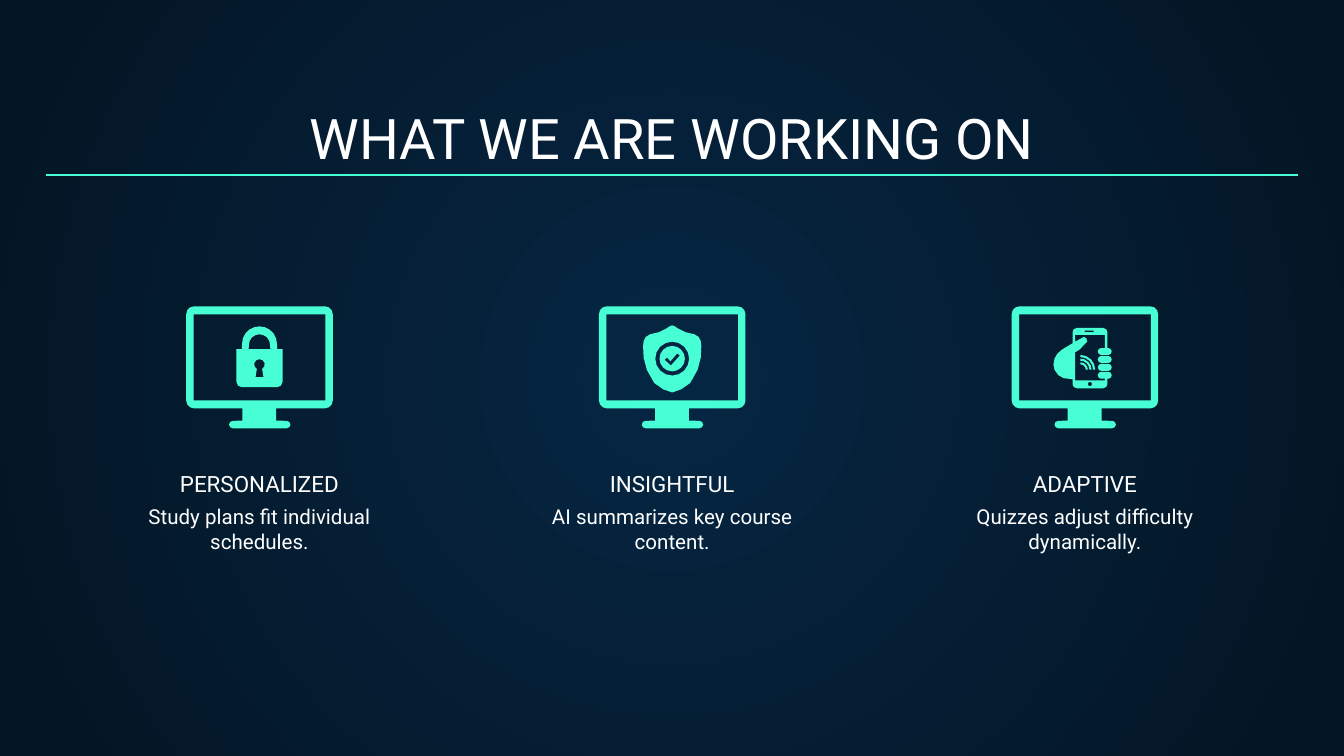
from math import cos, radians, sin

from lxml.etree import SubElement
from pptx import Presentation
from pptx.dml.color import RGBColor
from pptx.enum.shapes import MSO_CONNECTOR
from pptx.enum.text import MSO_ANCHOR, MSO_AUTO_SIZE, PP_ALIGN
from pptx.oxml.ns import qn
from pptx.util import Cm, Pt

COLORS = {"center": "052643", "edge": "041523", "accent": "48FFD5", "text": "FFFFFF"}
FONT = "Roboto"
SLIDE_WIDTH, SLIDE_HEIGHT = 25.4, 14.29
MARGIN = 0.86
ICON_WIDTH = 2.77
COLUMN_LEFT, COLUMN_TOP, COLUMN_WIDTH, COLUMN_STEP = 2.02, 5.79, 5.77, 7.8


def rgb(name):
    return RGBColor.from_string(COLORS[name])


def arc(cx, cy, radius, start, end, steps=2):
    """Points along an arc; angles in degrees, clockwise from the right."""
    angles = [radians(start + (end - start) * i / steps) for i in range(steps + 1)]
    return [(cx + radius * cos(a), cy + radius * sin(a)) for a in angles]


def circle(cx, cy, radius, steps=16):
    return arc(cx, cy, radius, 0, 360, steps)[:-1]


def rounded(left, top, right, bottom, r, steps=2):
    """Points around a rectangle with rounded corners."""
    return (arc(right - r, top + r, r, -90, 0, steps)
            + arc(right - r, bottom - r, r, 0, 90, steps)
            + arc(left + r, bottom - r, r, 90, 180, steps)
            + arc(left + r, top + r, r, 180, 270, steps))


def rectangle(left, top, right, bottom):
    return [(left, top), (right, top), (right, bottom), (left, bottom)]


def draw_outline(icon, left, top, contours):
    """Draw one filled shape; contours inside others become holes."""
    builder = None
    for contour in contours:
        start, *rest = [(Cm(x), Cm(y)) for x, y in contour]
        if builder is None:
            builder = icon.shapes.build_freeform(*start)
        else:
            builder.move_to(*start)
        builder.add_line_segments(rest, close=True)
    outline = builder.convert_to_shape(Cm(left), Cm(top))
    outline.shadow.inherit = False
    outline.fill.solid()
    outline.fill.fore_color.rgb = rgb("accent")
    outline.line.fill.background()


def draw_monitor(icon, left, top):
    frame = [*arc(2.62, 0.15, 0.15, -90, 0, 3), *arc(2.62, 1.78, 0.15, 0, 90, 3),
             (1.7, 1.93), (1.7, 2.16), *arc(1.9, 2.235, 0.07, -90, 90, 4),
             *arc(0.88, 2.235, 0.07, 90, 270, 4), (1.06, 2.16), (1.06, 1.93),
             *arc(0.15, 1.78, 0.15, 90, 180, 3), *arc(0.15, 0.15, 0.15, 180, 270, 3)]
    draw_outline(icon, left, top, [frame, rectangle(0.14, 0.15, 2.63, 1.78)])


def draw_lock(icon, left, top):
    middle = ICON_WIDTH / 2
    body = [(0.95, 0.81), (1.05, 0.81), *arc(middle, 0.71, 0.33, 180, 360, 10),
            (1.72, 0.81), (1.82, 0.81), *arc(1.72, 1.43, 0.1, 0, 90),
            *arc(1.05, 1.43, 0.1, 90, 180)]
    shackle_gap = [(1.18, 0.81), *arc(middle, 0.73, 0.2, 180, 360, 8), (1.59, 0.81)]
    keyhole = [*arc(middle, 1.1, 0.1, 120, 420, 8), (1.46, 1.34), (1.31, 1.34)]
    draw_outline(icon, left, top, [body, shackle_gap, keyhole])


def draw_shield(icon, left, top):
    middle = ICON_WIDTH / 2
    check = [(1.24, 1.01), (1.29, 0.97), (1.35, 1.04), (1.48, 0.89),
             (1.53, 0.93), (1.36, 1.12)]
    draw_outline(icon, left, top, [circle(middle, 0.99, 0.24), check])
    half = [(0, 0.36), (0.05, 0.38), (0.11, 0.42), (0.25, 0.49), (0.42, 0.53),
            (0.5, 0.58), (0.54, 0.66), (0.55, 0.75), (0.54, 0.97), (0.48, 1.2),
            (0.34, 1.45), (0.17, 1.57), (0, 1.63)]
    shield = ([(middle + x, y) for x, y in half]
              + [(middle - x, y) for x, y in half[-2:0:-1]])
    draw_outline(icon, left, top, [shield, circle(middle, 0.99, 0.32)])


def draw_phone(icon, left, top):
    phone_top = [*arc(1.25, 0.51, 0.08, 180, 270), *arc(1.75, 0.51, 0.08, 270, 360)]
    screen_top = [(1.83, 0.81), (1.78, 0.81), (1.78, 0.56), (1.22, 0.56), (1.22, 0.69)]
    thumb = [(1.33, 0.63), (1.38, 0.6), (1.43, 0.62), (1.45, 0.69), (1.4, 0.74),
             (1.3, 0.84), (1.22, 0.89)]
    screen_bottom = [(1.22, 1.42), (1.78, 1.42), (1.78, 1.39), (1.83, 1.39)]
    phone_bottom = [*arc(1.75, 1.49, 0.08, 0, 90), *arc(1.25, 1.49, 0.08, 90, 180)]
    palm = [(1.17, 1.4), (1, 1.38), (0.9, 1.32), (0.83, 1.22), (0.81, 1.12),
            (0.83, 1.01), (0.88, 0.92), (0.97, 0.84), (1.17, 0.72)]
    silhouette = phone_top + screen_top + thumb + screen_bottom + phone_bottom + palm
    signal = [arc(1.32, 1.22, r, 270, 360, 4) + arc(1.32, 1.22, r - 0.04, 360, 270, 4)
              for r in (0.14, 0.21, 0.28)]
    fingers = [rounded(1.65, y, 1.91, y + 0.13, 0.06) for y in (0.81, 0.96, 1.11, 1.26)]
    draw_outline(icon, left - 0.02, top - 0.02, [
        silhouette, rectangle(1.4, 0.48, 1.57, 0.51), circle(1.5, 1.49, 0.04, 8),
        *signal, *fingers,
    ])


def write_text(box, text, size, anchor):
    frame = box.text_frame
    frame.word_wrap = True
    frame.auto_size = MSO_AUTO_SIZE.NONE
    frame.vertical_anchor = anchor
    frame.margin_left = frame.margin_right = Cm(0.25)
    frame.margin_top = frame.margin_bottom = Cm(0.25)
    frame.text = text
    paragraph = frame.paragraphs[0]
    paragraph.alignment = PP_ALIGN.CENTER
    paragraph.line_spacing = 1.0
    paragraph.font.name = FONT
    paragraph.font.size = Pt(size)
    paragraph.font.color.rgb = rgb("text")


def paint_background(slide):
    fill = slide.background.fill
    fill.gradient()
    for stop, position, name in zip(fill.gradient_stops, (0, 1), ("center", "edge")):
        stop.position = position
        stop.color.rgb = rgb(name)
    gradient = slide.element.xpath(".//p:bg//a:gradFill")[0]
    gradient.remove(gradient.find(qn("a:lin")))
    circle_path = SubElement(gradient, qn("a:path"), path="circle")
    SubElement(circle_path, qn("a:fillToRect"), dict.fromkeys("ltrb", "50000"))


def add_header(slide, left, top, width):
    title = slide.shapes.title
    title.left, title.top, title.width, title.height = Cm(left), Cm(top), Cm(width), Cm(1.68)
    write_text(title, "WHAT WE ARE WORKING ON", 30, MSO_ANCHOR.BOTTOM)
    rule_y = Cm(top + 1.51)
    rule = slide.shapes.add_connector(MSO_CONNECTOR.STRAIGHT, Cm(left), rule_y,
                                      Cm(left + width), rule_y)
    rule.line.color.rgb = rgb("accent")
    rule.line.width = Pt(0.75)
    SubElement(rule.element.spPr, qn("a:effectLst"))


def add_feature(slide, left, top, width, heading, description, draw_emblem):
    """Place a monitor icon with its heading and description in a column."""
    icon = slide.shapes.add_group_shape()
    icon_left = left + (width - ICON_WIDTH) / 2
    draw_monitor(icon, icon_left, top)
    draw_emblem(icon, icon_left, top)
    inset = 0.26
    body = slide.shapes.add_textbox(Cm(left + inset), Cm(top + 3.49),
                                    Cm(width - 2 * inset), Cm(1.4))
    write_text(body, description, 11, MSO_ANCHOR.TOP)
    label = slide.shapes.add_textbox(Cm(left), Cm(top + 3.32), Cm(width), Cm(0.53))
    write_text(label, heading, 12, MSO_ANCHOR.BOTTOM)


def main():
    presentation = Presentation()
    presentation.slide_width, presentation.slide_height = Cm(SLIDE_WIDTH), Cm(SLIDE_HEIGHT)
    slide = presentation.slides.add_slide(presentation.slide_layouts.get_by_name("Title Only"))
    paint_background(slide)
    add_header(slide, MARGIN, 1.8, SLIDE_WIDTH - 2 * MARGIN)
    features = [
        ("PERSONALIZED", "Study plans fit individual schedules.", draw_lock),
        ("INSIGHTFUL", "AI summarizes key course content.", draw_shield),
        ("ADAPTIVE", "Quizzes adjust difficulty dynamically.", draw_phone),
    ]
    for column, feature in enumerate(features):
        add_feature(slide, COLUMN_LEFT + column * COLUMN_STEP, COLUMN_TOP, COLUMN_WIDTH,
                    *feature)
    presentation.save("out.pptx")


if __name__ == "__main__":
    main()
